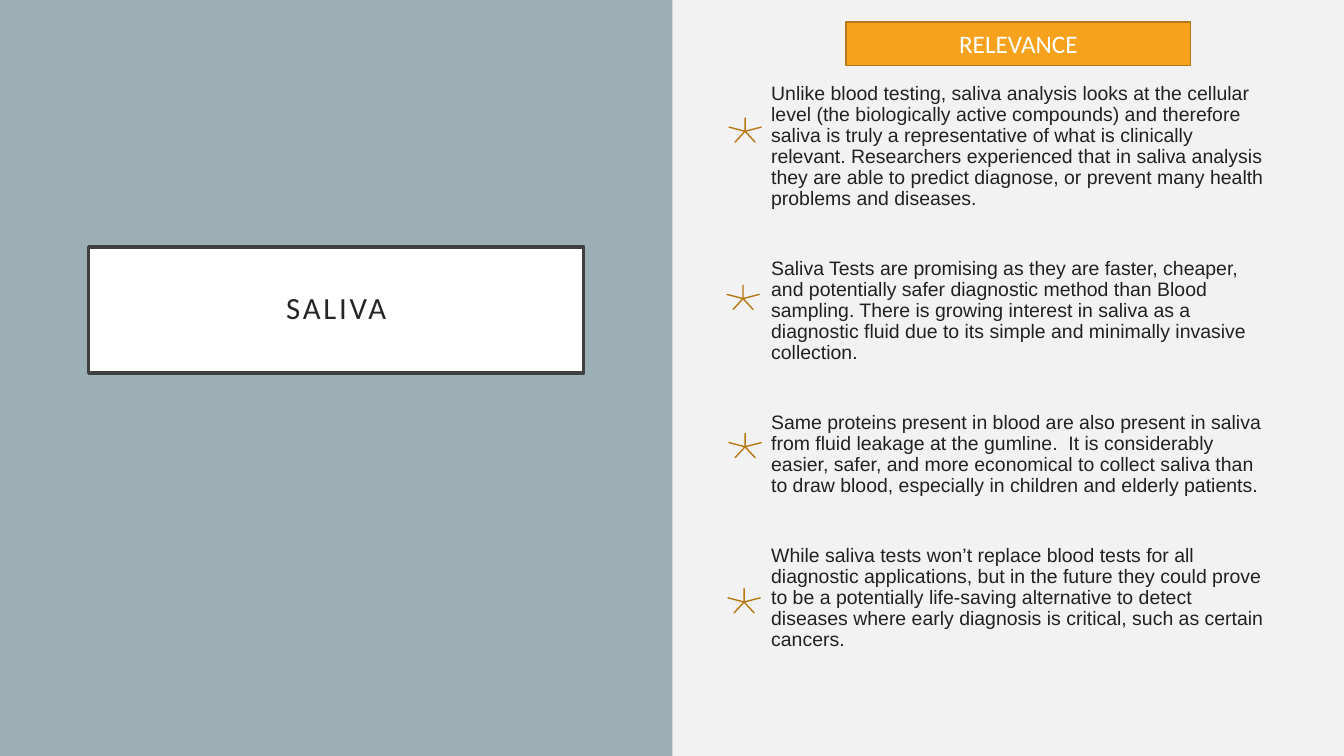
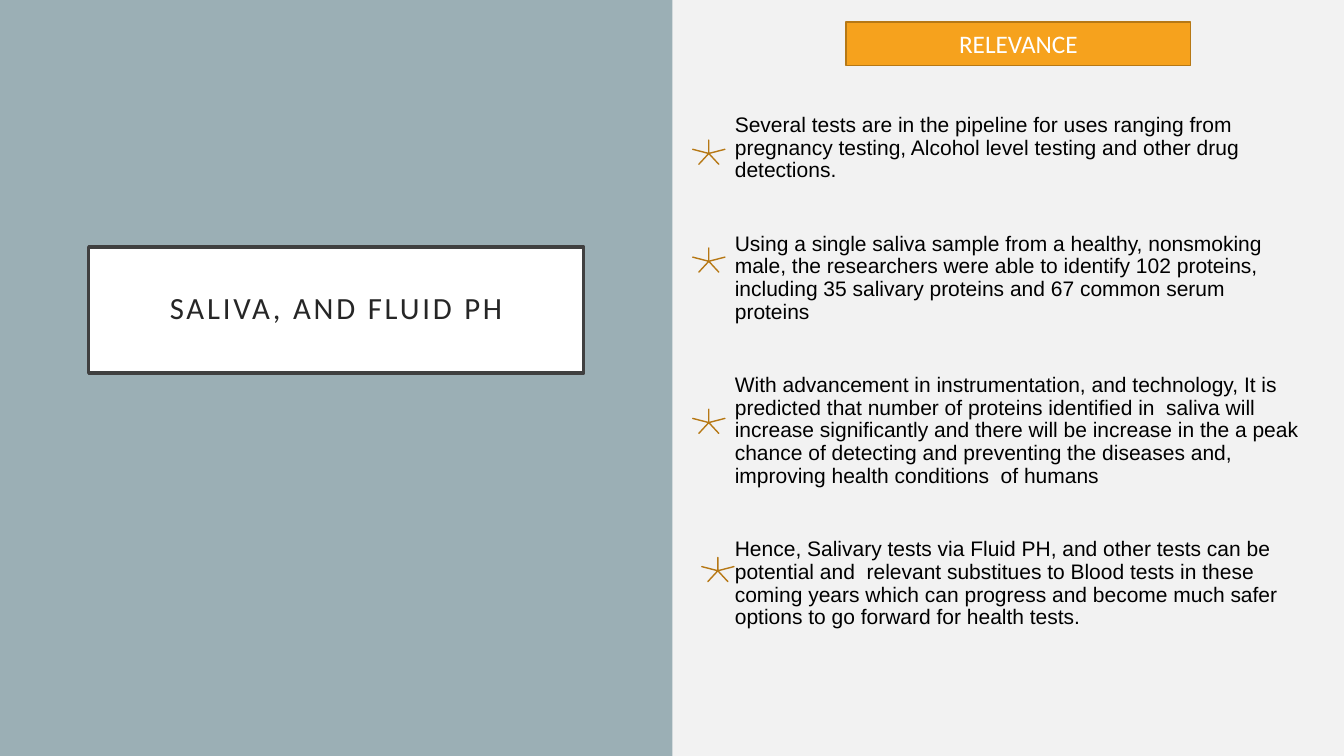
import pptx
import pptx.util
import pptx.dml.color
import pptx.enum.shapes
import pptx.enum.text

Inches, Pt = pptx.util.Inches, pptx.util.Pt
SHAPE = pptx.enum.shapes.MSO_SHAPE
ALIGN = pptx.enum.text.PP_ALIGN
ANCHOR = pptx.enum.text.MSO_ANCHOR

COLORS = {
    "background": "F2F2F2",
    "panel": "9BAFB5",
    "white": "FFFFFF",
    "frame": "404040",
    "title": "262626",
    "accent": "F6A21D",
    "accent_line": "B67815",
    "gray_text": "212121",
    "black": "000000",
}

SLIDES = [
    {
        "title": "SALIVA",
        "box": (7.55, 0.78, 5.11, 6.15),
        "size": 13.9,
        "pitch": 15,
        "color": "gray_text",
        "stars": [(7.23, 1.17), (7.21, 2.83), (7.23, 4.3), (7.22, 5.84)],
        "points": [
            "Unlike blood testing, saliva analysis looks at the cellular level (the biologically active compounds) and therefore saliva is truly a representative of what is clinically relevant. Researchers experienced that in saliva analysis they are able to predict diagnose, or prevent many health problems and diseases.",
            "Saliva Tests are promising as they are faster, cheaper, and potentially safer diagnostic method than Blood sampling. There is growing interest in saliva as a diagnostic fluid due to its simple and minimally invasive collection.",
            "Same proteins present in blood are also present in saliva from fluid leakage at the gumline.  It is considerably easier, safer, and more economical to collect saliva than to draw blood, especially in children and elderly patients.",
            "While saliva tests won’t replace blood tests for all diagnostic applications, but in the future they could prove to be a potentially life-saving alternative to detect diseases where early diagnosis is critical, such as certain cancers.",
        ],
    },
    {
        "title": "SALIVA, AND FLUID PH",
        "box": (7.19, 1.08, 5.83, 5.65),
        "size": 15,
        "pitch": 16.2,
        "color": "black",
        "stars": [(6.87, 1.39), (6.87, 2.46), (6.87, 4.06), (6.96, 5.53)],
        "points": [
            "Several tests are in the pipeline for uses ranging from pregnancy testing, Alcohol level testing and other drug detections.",
            "Using a single saliva sample from a healthy, nonsmoking male, the researchers were able to identify 102 proteins, including 35 salivary proteins and 67 common serum proteins",
            "With advancement in instrumentation, and technology, It is predicted that number of proteins identified in  saliva will increase significantly and there will be increase in the a peak chance of detecting and preventing the diseases and, improving health conditions  of humans",
            "Hence, Salivary tests via Fluid PH, and other tests can be  potential and  relevant substitues to Blood tests in these coming years which can progress and become much safer options to go forward for health tests.",
        ],
    },
]


def rgb(name):
    return pptx.dml.color.RGBColor.from_string(COLORS[name])


def add_text(p, text, size, color, font="Calibri", align=ALIGN.CENTER, line=None, before=0, spc=None):
    p.alignment = align
    p.line_spacing = line
    p.space_before = Pt(before)
    r = p.add_run()
    r.text = text
    r.font.name = font
    r.font.size = Pt(size)
    r.font.color.rgb = rgb(color)
    if spc:
        r._r.get_or_add_rPr().set("spc", str(spc))


def add_box(s, kind, box, fill, line=None, width=1):
    sp = s.shapes.add_shape(kind, *map(Inches, box))
    sp.shadow.inherit = False
    sp.fill.solid()
    sp.fill.fore_color.rgb = rgb(fill)
    if line:
        sp.line.color.rgb = rgb(line)
        sp.line.width = Pt(width)
    else:
        sp.line.fill.background()
    sp.text_frame.vertical_anchor = ANCHOR.MIDDLE
    return sp


prs = pptx.Presentation()
prs.slide_width = Inches(13.33)
prs.slide_height = Inches(7.5)

for data in SLIDES:
    s = prs.slides.add_slide(prs.slide_layouts[6])
    s.background.fill.solid()
    s.background.fill.fore_color.rgb = rgb("background")

    add_box(s, SHAPE.RECTANGLE, (0, 0, 6.67, 7.5), "panel")

    title = add_box(s, SHAPE.RECTANGLE, (0.88, 2.45, 4.91, 1.25), "white", "frame", 2.5)
    tf = title.text_frame
    tf.margin_left = tf.margin_right = tf.margin_top = tf.margin_bottom = Inches(0.2)
    add_text(tf.paragraphs[0], data["title"], 22, "title", line=0.9, spc=200)

    body = s.shapes.add_textbox(*map(Inches, data["box"]))
    tf = body.text_frame
    tf.word_wrap = True
    for i, point in enumerate(data["points"]):
        p = tf.add_paragraph() if i else tf.paragraphs[0]
        add_text(p, point, data["size"], data["color"], font="Arial", align=ALIGN.LEFT,
                 line=Pt(data["pitch"]), before=20 + data["pitch"] if i else 0)

    header = add_box(s, SHAPE.RECTANGLE, (8.39, 0.22, 3.42, 0.43), "accent", "accent_line")
    add_text(header.text_frame.paragraphs[0], "RELEVANCE", 18, "white")

    for x, y in data["stars"]:
        star = add_box(s, SHAPE.STAR_5_POINT, (x, y, 0.32, 0.24), "accent", "accent_line")
        star.adjustments[0] = 0

prs.save("out.pptx")
